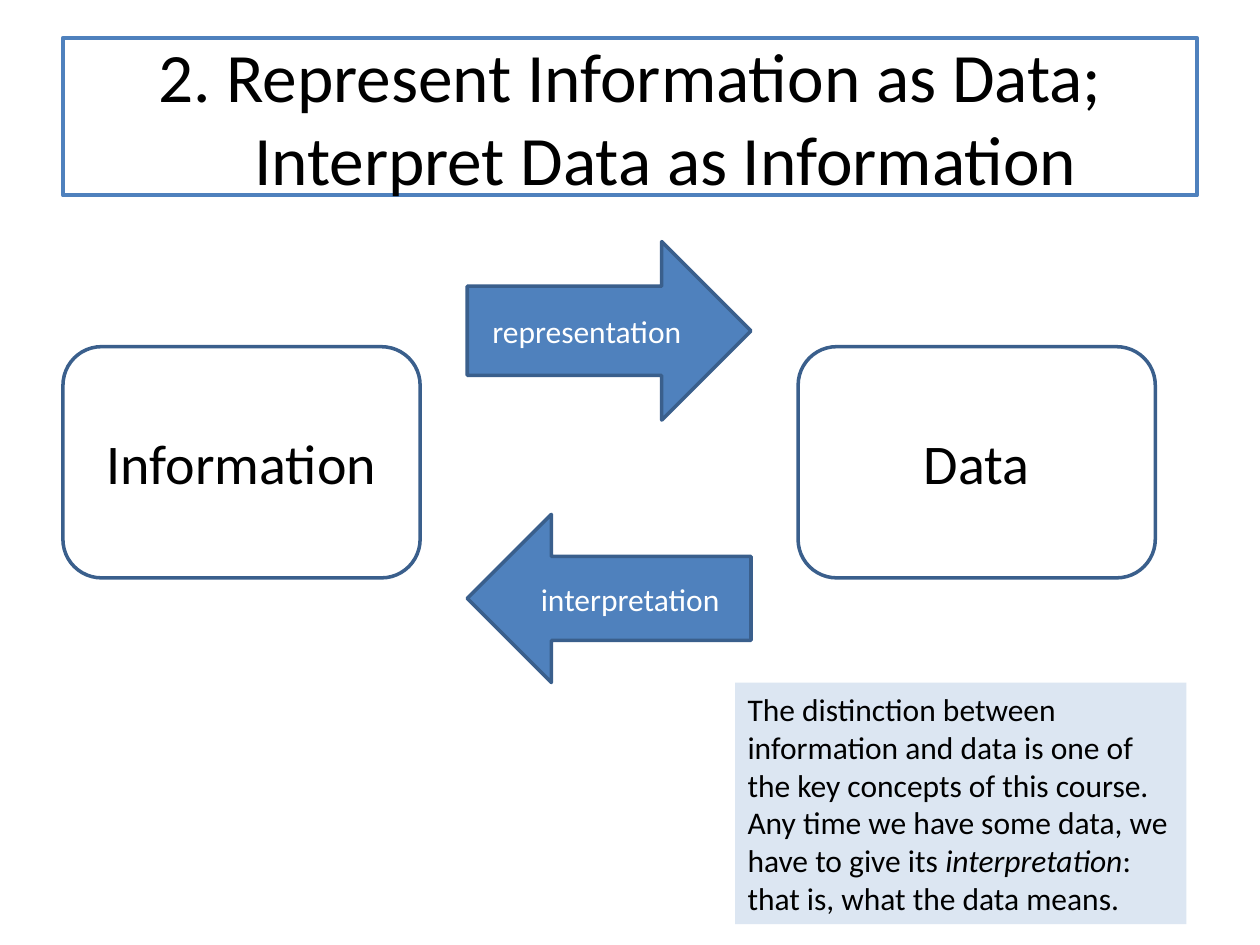
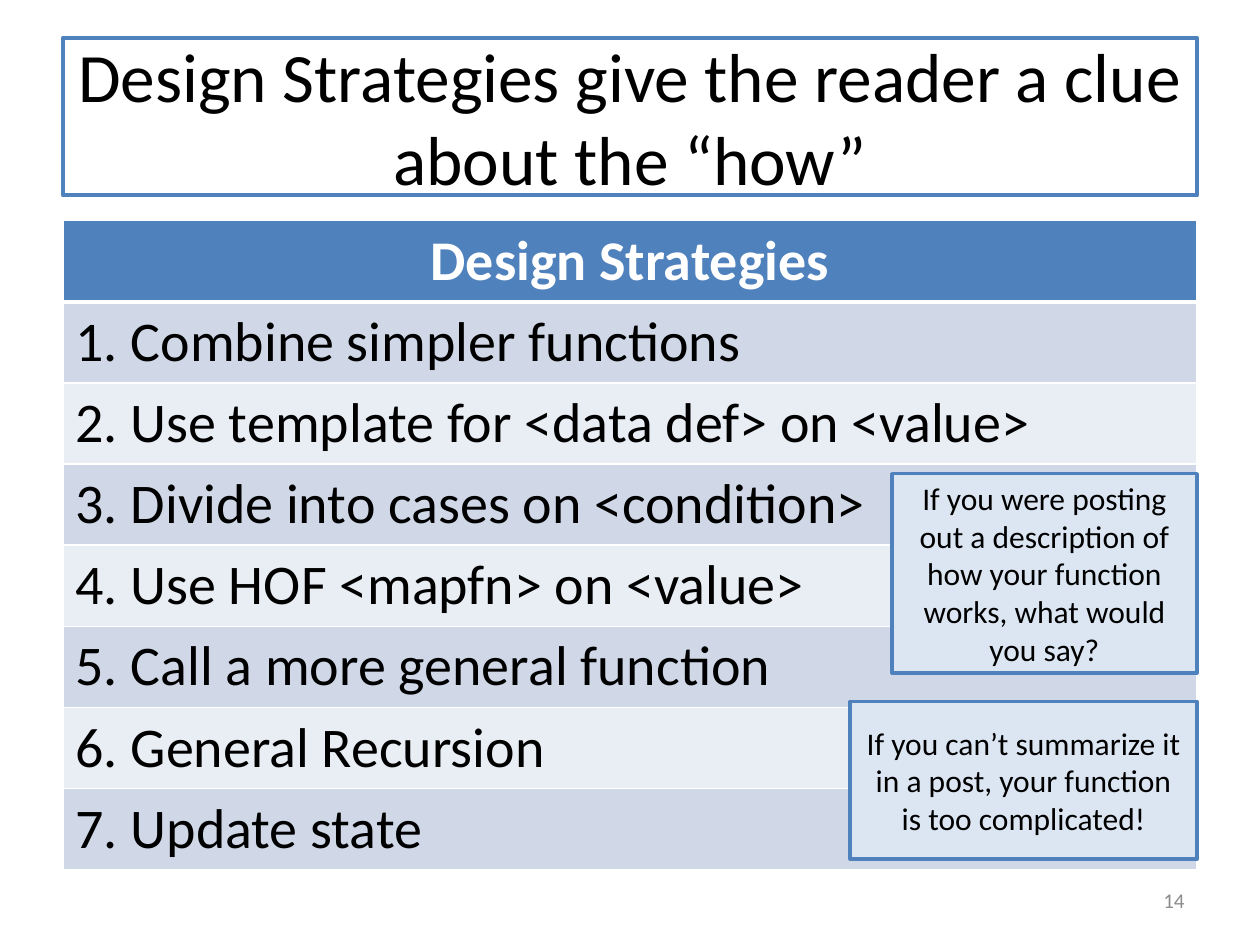
"""Build two slides on information, data and design strategies."""
import lxml.etree
import pptx
import pptx.dml.color
import pptx.enum.shapes
import pptx.enum.text
import pptx.oxml.ns
import pptx.util

Cm = pptx.util.Cm
Pt = pptx.util.Pt
SHAPE = pptx.enum.shapes.MSO_SHAPE
ALIGN = pptx.enum.text.PP_ALIGN
MIDDLE = pptx.enum.text.MSO_ANCHOR.MIDDLE

FONT = "Calibri"
BLACK, WHITE, GREY = "000000", "FFFFFF", "8C8C8C"
BLUE, DARK_BLUE, PALE_BLUE = "4F81BD", "3A5F8C", "DCE6F2"
BANDS = ("D0D8E8", "E9EDF4")
MARGIN, CONTENT_WIDTH = 1.27, 22.86


def rgb(value):
    return pptx.dml.color.RGBColor.from_string(value)


class Deck:
    def __init__(self):
        self.prs = pptx.Presentation()
        self.prs.slide_width, self.prs.slide_height = Cm(25.4), Cm(19.05)
        self.s = None

    def format(self, tf, size, color, align, bold=False):
        tf.word_wrap = True
        for p in tf.paragraphs:
            p.alignment = align
            for r in p.runs:
                r.font.name, r.font.size, r.font.bold = FONT, Pt(size), bold
                r.font.color.rgb = rgb(color)

    def paint(self, sp, fill, line, width):
        if fill:
            sp.fill.solid()
            sp.fill.fore_color.rgb = rgb(fill)
        else:
            sp.fill.background()
        if line:
            sp.line.color.rgb = rgb(line)
            sp.line.width = Pt(width)
        else:
            sp.line.fill.background()

    def slide(self, title, hanging=0):
        self.s = self.prs.slides.add_slide(self.prs.slide_layouts[5])
        sp = self.s.shapes.title
        sp.left, sp.top = Cm(MARGIN), Cm(0.76)
        sp.width, sp.height = Cm(CONTENT_WIDTH), Cm(3.18)
        self.paint(sp, WHITE, BLUE, 2.25)
        tf = sp.text_frame
        tf.text = title
        tf.auto_size = pptx.enum.text.MSO_AUTO_SIZE.NONE
        tf.vertical_anchor = MIDDLE
        self.format(tf, 39.6, BLACK, ALIGN.CENTER)
        if hanging:
            pPr = tf.paragraphs[0]._p.get_or_add_pPr()
            pPr.set("marL", str(Cm(hanging)))
            pPr.set("indent", str(-Cm(hanging)))

    def shape(self, kind, box, runs, fill=None, line=None, size=18,
              color=BLACK, align=ALIGN.CENTER):
        sp = self.s.shapes.add_shape(kind, *map(Cm, box))
        sp.shadow.inherit = False
        self.paint(sp, fill, line, 2)
        tf = sp.text_frame
        tf.vertical_anchor = MIDDLE
        for text, italic in runs:
            r = tf.paragraphs[0].add_run()
            r.text, r.font.italic = text, italic
        self.format(tf, size, color, align)

    def note(self, box, runs, line=None, align=ALIGN.CENTER):
        self.shape(SHAPE.RECTANGLE, box, runs, PALE_BLUE, line, align=align)

    def cell_borders(self, cell, bottom):
        tcPr = cell._tc.get_or_add_tcPr()
        widths = {"a:lnL": 1, "a:lnR": 1, "a:lnT": 1, "a:lnB": bottom}
        for i, (tag, width) in enumerate(widths.items()):
            ln = lxml.etree.Element(pptx.oxml.ns.qn(tag), w=str(Pt(width)))
            fill = lxml.etree.SubElement(ln, pptx.oxml.ns.qn("a:solidFill"))
            lxml.etree.SubElement(fill, pptx.oxml.ns.qn("a:srgbClr"), val=WHITE)
            tcPr.insert(i, ln)

    def table(self, top, row_height, header, rows):
        texts = [header, *rows]
        frame = self.s.shapes.add_table(
            len(texts), 1, Cm(MARGIN), Cm(top), Cm(CONTENT_WIDTH),
            Cm(row_height * len(texts)))
        for i, text in enumerate(texts):
            is_header = i == 0
            cell = frame.table.cell(i, 0)
            cell.text = text
            cell.fill.solid()
            cell.fill.fore_color.rgb = rgb(BLUE if is_header else BANDS[(i - 1) % 2])
            self.cell_borders(cell, 3 if is_header else 1)
            self.format(cell.text_frame, 32, WHITE if is_header else BLACK,
                        ALIGN.CENTER if is_header else ALIGN.LEFT, is_header)

    def page_number(self, number):
        sp = self.s.shapes.add_textbox(Cm(18.2), Cm(17.65), Cm(5.93), Cm(1.01))
        tf = sp.text_frame
        tf.text = str(number)
        tf.vertical_anchor = MIDDLE
        self.format(tf, 12, GREY, ALIGN.RIGHT)


def main():
    deck = Deck()

    deck.slide("2. Represent Information as Data; Interpret Data as Information",
               hanging=1.43)
    for left, text in ((MARGIN, "Information"), (16.09, "Data")):
        deck.shape(SHAPE.ROUNDED_RECTANGLE, (left, 6.99, 7.2, 4.66),
                   [(text, False)], line=DARK_BLUE, size=32)
    for kind, top, height, text in (
            (SHAPE.RIGHT_ARROW, 4.87, 3.6, "representation"),
            (SHAPE.LEFT_ARROW, 10.37, 3.39, "interpretation")):
        deck.shape(kind, (9.42, top, 5.72, height), [(text, False)],
                   BLUE, DARK_BLUE, color=WHITE)
    deck.note((14.82, 13.76, 9.1, 4.87), [
        ("The distinction between information and data is one of the key "
         "concepts of this course. Any time we have some data, we have to "
         "give its ", False),
        ("interpretation", True),
        (": that is, what the data means.", False)], align=ALIGN.LEFT)

    deck.slide("Design Strategies give the reader a clue about the “how”")
    deck.table(4.45, 1.61, "Design Strategies", [
        "1. Combine simpler functions",
        "2. Use template for <data def> on <value>",
        "3. Divide into cases on <condition>",
        "4. Use HOF <mapfn> on <value>",
        "5. Call a more general function",
        "6. General Recursion",
        "7. Update state"])
    deck.page_number(14)
    right = MARGIN + CONTENT_WIDTH
    for top, width, height, text in (
            (9.55, 6.15, 4.02, "If you were posting out a description of how "
             "your function works, what would you say?"),
            (14.14, 6.99, 3.18, "If you can’t summarize it in a post, your "
             "function is too complicated!")):
        deck.note((right - width, top, width, height), [(text, False)], BLUE)

    deck.prs.save("out.pptx")


if __name__ == "__main__":
    main()
